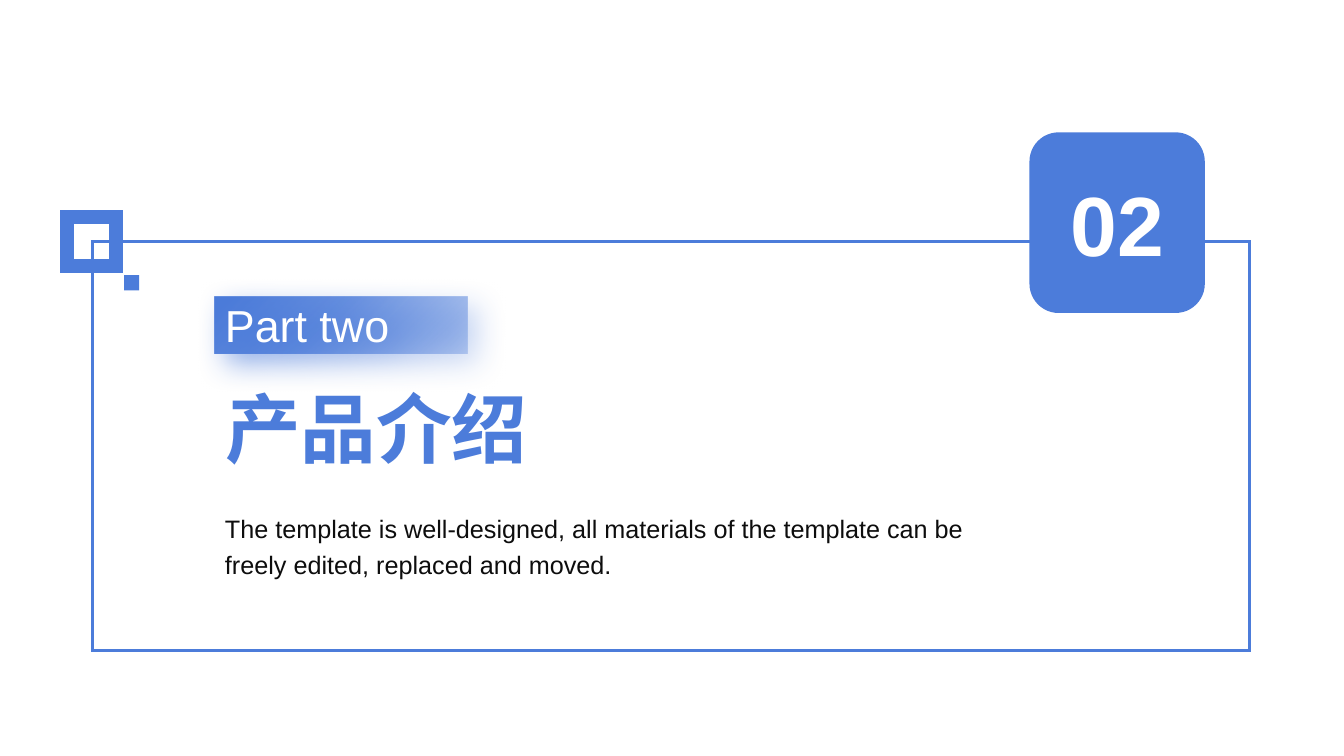
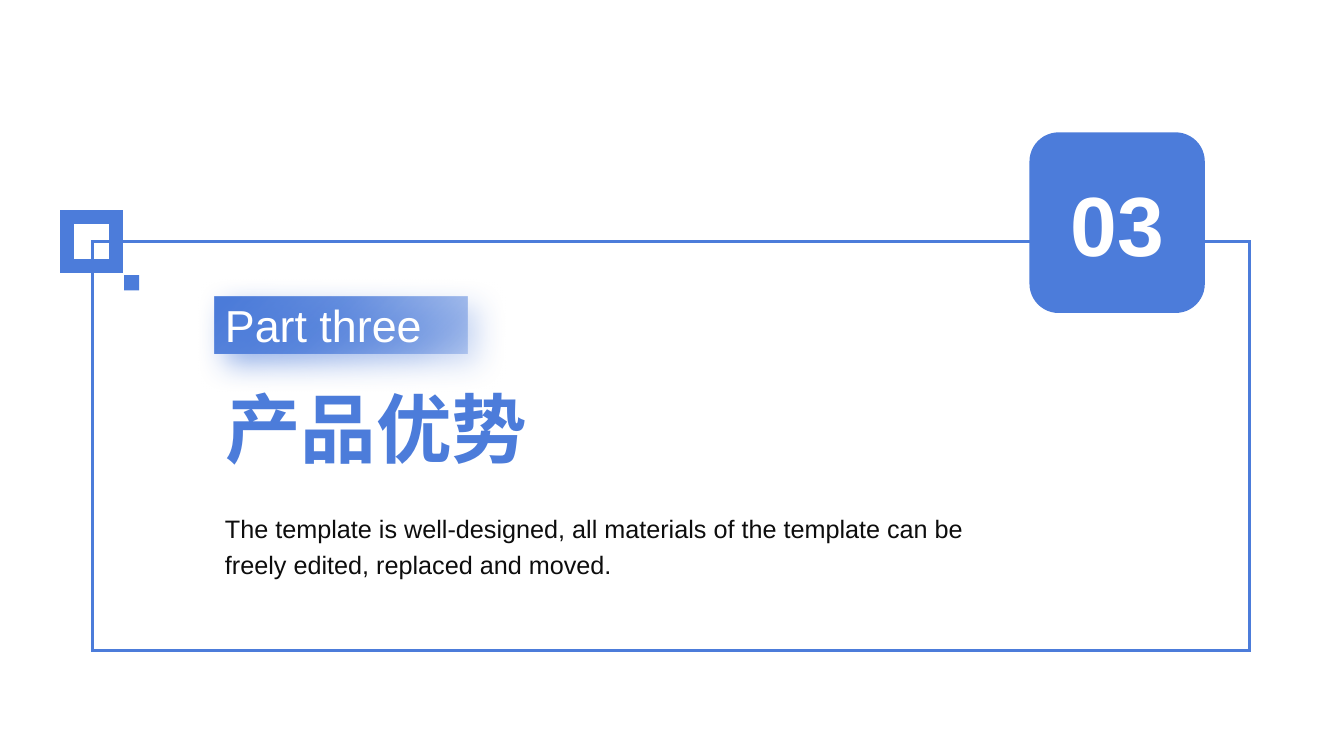
import pptx
import pptx.util
import pptx.dml.color
import pptx.enum.shapes
import pptx.enum.text
import pptx.oxml.ns
import lxml.etree

COLOURS = {"blue": "4C7CDA", "white": "FFFFFF", "ink": "0D0D0D"}
FONT = "Arial"
TITLE_ONLY = 5

SHAPE = pptx.enum.shapes.MSO_SHAPE
ALIGN = pptx.enum.text.PP_ALIGN
ANCHOR = pptx.enum.text.MSO_ANCHOR
qn = pptx.oxml.ns.qn

SUMMARY = ("The template is well-designed, all materials of the template "
           "can be freely edited, replaced and moved.")
SECTIONS = [
    ("02", "Part two", "产品介绍"),
    ("03", "Part three", "产品优势"),
]


def rgb(name):
    return pptx.dml.color.RGBColor.from_string(COLOURS[name])


def add_colour(parent, name, alpha):
    """Append a colour with an opacity in percent."""
    colour = lxml.etree.SubElement(parent, qn("a:srgbClr"), val=COLOURS[name])
    lxml.etree.SubElement(colour, qn("a:alpha"), val=str(alpha * 1000))


def write(shape, text, size=18, colour="ink", bold=False, align=ALIGN.LEFT,
          anchor=ANCHOR.TOP, spacing=1.0):
    frame = shape.text_frame
    frame.word_wrap = True
    frame.auto_size = pptx.enum.text.MSO_AUTO_SIZE.NONE
    frame.vertical_anchor = anchor
    paragraph = frame.paragraphs[0]
    paragraph.alignment = align
    paragraph.line_spacing = spacing
    run = paragraph.add_run()
    run.text = text
    run.font.name = FONT
    run.font.size = pptx.util.Pt(size)
    run.font.bold = bold
    run.font.color.rgb = rgb(colour)
    # East Asian glyphs follow the same font
    latin = run.font._element.find(qn("a:latin"))
    latin.addnext(latin.makeelement(qn("a:ea"), {"typeface": FONT}))


class Deck:
    """Style and current slide; boxes are left, top, width, height in percent."""

    def __init__(self):
        self.prs = pptx.Presentation()
        self.prs.slide_width = pptx.util.Inches(13.33)
        self.prs.slide_height = pptx.util.Inches(7.5)
        self.slide = None

    def new_slide(self):
        self.slide = self.prs.slides.add_slide(self.prs.slide_layouts[TITLE_ONLY])

    def place(self, box):
        width, height = self.prs.slide_width, self.prs.slide_height
        return [int(share * side / 100)
                for share, side in zip(box, (width, height, width, height))]

    def title(self, box, text):
        title = self.slide.shapes.title
        title.left, title.top, title.width, title.height = self.place(box)
        write(title, text, size=54, colour="blue", bold=True)

    def text(self, box, text, **style):
        write(self.slide.shapes.add_textbox(*self.place(box)), text, **style)

    def block(self, box, kind=SHAPE.RECTANGLE):
        """Solid blue shape without a line."""
        block = self.slide.shapes.add_shape(kind, *self.place(box))
        block.shadow.inherit = False
        block.fill.solid()
        block.fill.fore_color.rgb = rgb("blue")
        block.line.fill.background()
        return block

    def outline(self, box, weight):
        """Hollow rectangle with sharp corners."""
        outline = self.block(box)
        outline.fill.background()
        outline.line.color.rgb = rgb("blue")
        outline.line.width = pptx.util.Pt(weight)
        line = outline._element.spPr.find(qn("a:ln"))
        lxml.etree.SubElement(line, qn("a:miter"), lim="800000")

    def glowing_tag(self, box, text):
        """Label with a fading fill and a soft blue shadow."""
        tag = self.block(box)
        tag.fill.gradient()
        tag.fill.gradient_angle = 135
        properties = tag._element.spPr
        stops = properties.find(qn("a:gradFill")).find(qn("a:gsLst"))
        for stop in list(stops):
            stops.remove(stop)
        for position, alpha in ((0, 34), (56, 83), (95, 100)):
            stop = lxml.etree.SubElement(stops, qn("a:gs"), pos=str(position * 1000))
            add_colour(stop, "blue", alpha)
        shadow = lxml.etree.SubElement(
            properties.find(qn("a:effectLst")), qn("a:outerShdw"),
            blurRad=str(pptx.util.Pt(21)), dist=str(pptx.util.Pt(11)),
            dir=str(45 * 60000), algn="tl", rotWithShape="0")
        add_colour(shadow, "blue", 61)
        write(tag, text, size=32, colour="white", anchor=ANCHOR.MIDDLE)

    def section(self, number, part, heading):
        self.new_slide()
        # Frame and number badge
        self.outline((6.9, 32, 86.1, 54), 2.25)
        badge = self.block((76.6, 17.5, 13.05, 23.9), SHAPE.ROUNDED_RECTANGLE)
        write(badge, number, size=60, colour="white", bold=True,
              align=ALIGN.CENTER, anchor=ANCHOR.MIDDLE)
        # Corner ornament
        self.outline((5, 28.7, 3.6, 6.5), 10)
        self.block((9.23, 36.4, 1.13, 2))
        # Section text, on one left edge
        left = 16
        self.glowing_tag((left, 39.2, 18.8, 7.6), part)
        self.text((left, 66.4, 61.1, 10.5), SUMMARY, spacing=1.2)
        self.title((left, 49.9, 27.6, 13.5), heading)


def main():
    deck = Deck()
    for section in SECTIONS:
        deck.section(*section)
    deck.prs.save("out.pptx")


if __name__ == "__main__":
    main()
